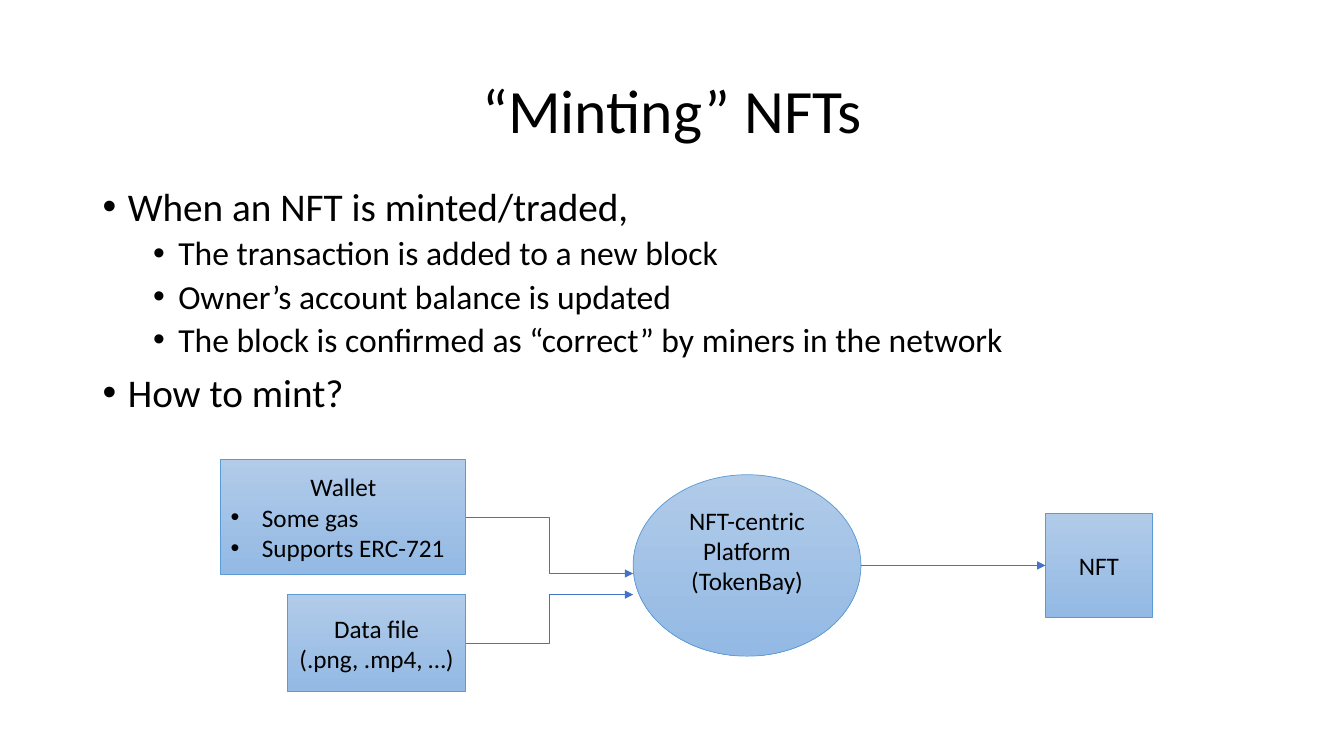
"""Build the slide that explains how NFTs are minted."""
import pptx
import pptx.dml.color
import pptx.enum.dml
import pptx.enum.shapes
import pptx.enum.text
import pptx.oxml
import pptx.oxml.ns
import pptx.util
from dataclasses import dataclass

Inches = pptx.util.Inches
Pt = pptx.util.Pt
SHAPE = pptx.enum.shapes.MSO_SHAPE
CONNECTOR = pptx.enum.shapes.MSO_CONNECTOR
ALIGN = pptx.enum.text.PP_ALIGN
ANCHOR = pptx.enum.text.MSO_ANCHOR


@dataclass(frozen=True)
class Theme:
    font: str = "Calibri"
    text: str = "000000"
    gradient: tuple = ("B1CBE9", "93B9E4")
    outline: str = "5B9BD5"
    arrow: str = "4472C4"
    line_width: float = 0.5
    title_size: int = 44
    body_sizes: tuple = (28, 24)
    label_size: int = 18


THEME = Theme()

TITLE = "“Minting” NFTs"
TITLE_BOX = (0.92, 0.4, 11.5, 1.45)

BODY = [
    (0, "When an NFT is minted/traded,"),
    (1, "The transaction is added to a new block"),
    (1, "Owner’s account balance is updated"),
    (1, "The block is confirmed as “correct” by miners in the network"),
    (0, "How to mint?"),
]
BODY_BOX = (0.92, 1.81, 11.5, 2.49)
BODY_INDENTS = (0.25, 0.75)
BODY_HANG = 0.25
BODY_SPACE = (10, 5)
LINE_SPACING = 0.9
NODE_HANG = 0.31

NODES = {
    "wallet": (SHAPE.RECTANGLE, (2.19, 4.56, 2.43, 1.14), 0.05,
               [("Wallet", False), ("Some gas", True), ("Supports ERC-721", True)]),
    "file": (SHAPE.RECTANGLE, (2.85, 5.9, 1.77, 0.96), 0.05,
             [("Data file", False), ("(.png, .mp4, …)", False)]),
    "nft": (SHAPE.RECTANGLE, (10.37, 5.09, 1.06, 1.04), 0.05, [("NFT", False)]),
    "platform": (SHAPE.OVAL, (6.28, 4.71, 2.26, 1.8), 0.35,
                 [("NFT-centric Platform", False), ("(TokenBay)", False)]),
}

ARROWS = [
    (CONNECTOR.ELBOW, "wallet", "platform", 5.69),
    (CONNECTOR.ELBOW, "file", "platform", 5.9),
    (CONNECTOR.STRAIGHT, "platform", "nft", 5.61),
]


def rgb(value):
    return pptx.dml.color.RGBColor.from_string(value)


def add_xml(parent, tag, **attributes):
    child = pptx.oxml.parse_xml(f'<a:{tag} {pptx.oxml.ns.nsdecls("a")}/>')
    for name, value in attributes.items():
        child.set(name, value)
    parent.append(child)


def add_paragraph(tf, index, text, size, align, indent=0, hang=0):
    p = tf.paragraphs[0] if index == 0 else tf.add_paragraph()
    p.text = text
    p.alignment = align
    if hang:
        pPr = p._p.get_or_add_pPr()
        pPr.set("marL", str(Inches(indent)))
        pPr.set("indent", str(-Inches(hang)))
        add_xml(pPr, "buFont", typeface="Arial")
        add_xml(pPr, "buChar", char="•")
    p.font.name = THEME.font
    p.font.size = Pt(size)
    p.font.color.rgb = rgb(THEME.text)
    return p


def add_text_box(slide, box, anchor):
    tf = slide.shapes.add_textbox(*map(Inches, box)).text_frame
    tf.word_wrap = True
    tf.vertical_anchor = anchor
    return tf


def add_title(slide):
    tf = add_text_box(slide, TITLE_BOX, ANCHOR.MIDDLE)
    p = add_paragraph(tf, 0, TITLE, THEME.title_size, ALIGN.CENTER)
    p.line_spacing = LINE_SPACING


def add_body(slide):
    tf = add_text_box(slide, BODY_BOX, ANCHOR.TOP)
    for i, (level, text) in enumerate(BODY):
        p = add_paragraph(tf, i, text, THEME.body_sizes[level], ALIGN.LEFT,
                          BODY_INDENTS[level], BODY_HANG)
        p.level = level
        p.line_spacing = LINE_SPACING
        if i:
            p.space_before = Pt(BODY_SPACE[level])


def add_node(slide, kind, box, bottom, lines):
    sp = slide.shapes.add_shape(kind, *map(Inches, box))
    sp.shadow.inherit = False
    sp.fill.gradient()
    sp.fill.gradient_angle = 270
    for stop, color in zip(sp.fill.gradient_stops, THEME.gradient):
        stop.color.rgb = rgb(color)
    sp.line.color.rgb = rgb(THEME.outline)
    sp.line.width = Pt(THEME.line_width)
    tf = sp.text_frame
    tf.word_wrap = True
    tf.vertical_anchor = ANCHOR.MIDDLE
    tf.margin_bottom = Inches(bottom)
    for i, (text, bulleted) in enumerate(lines):
        align = ALIGN.LEFT if bulleted else ALIGN.CENTER
        hang = NODE_HANG if bulleted else 0
        add_paragraph(tf, i, text, THEME.label_size, align, hang, hang)


def add_arrow(slide, kind, source, target, end_y):
    left, top, width, height = NODES[source][1]
    start = (left + width, top + height / 2)
    end = (NODES[target][1][0], end_y)
    line = slide.shapes.add_connector(kind, *map(Inches, start + end))
    line.line.color.rgb = rgb(THEME.arrow)
    line.line.width = Pt(THEME.line_width)
    add_xml(line.line._get_or_add_ln(), "tailEnd", type="triangle")
    add_xml(line._element.spPr, "effectLst")


def main():
    prs = pptx.Presentation()
    prs.slide_width = Inches(13.33)
    prs.slide_height = Inches(7.5)
    slide = prs.slides.add_slide(prs.slide_layouts[6])
    add_title(slide)
    add_body(slide)
    for node in NODES.values():
        add_node(slide, *node)
    for arrow in ARROWS:
        add_arrow(slide, *arrow)
    prs.save("out.pptx")


if __name__ == "__main__":
    main()
